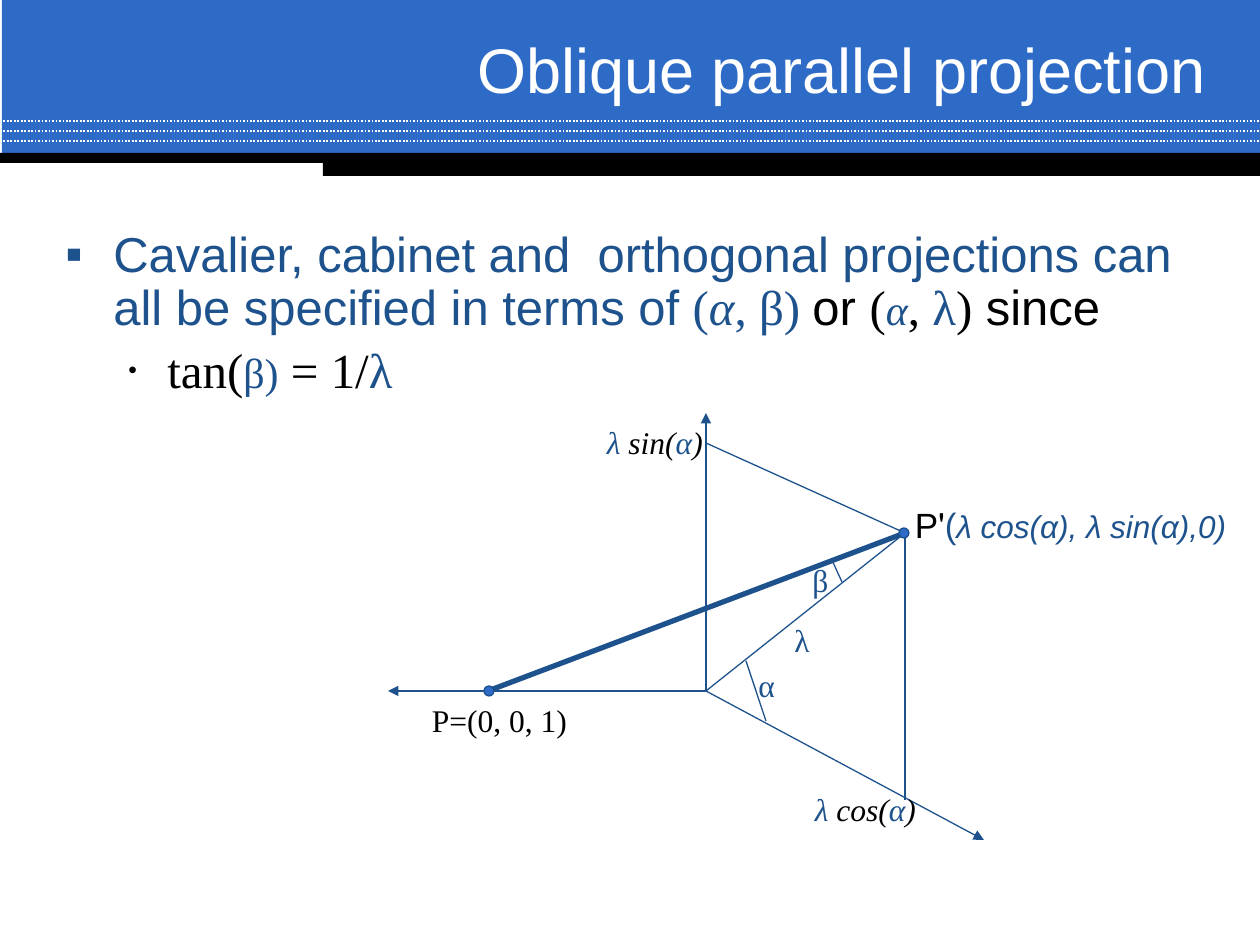
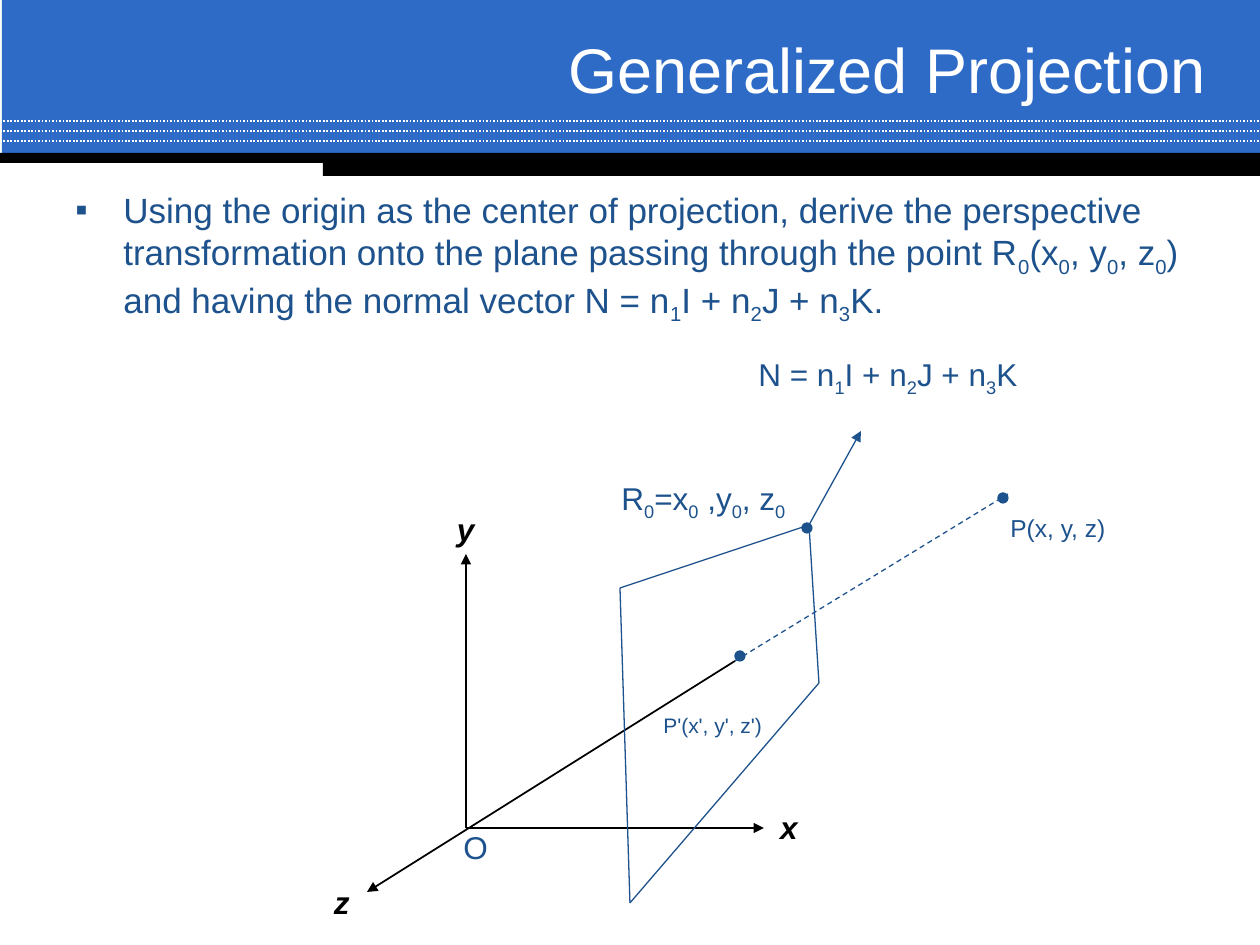
from itertools import pairwise
from lxml.etree import SubElement
from pptx import Presentation
from pptx.dml.color import RGBColor
from pptx.enum.dml import MSO_LINE as Dash
from pptx.enum.shapes import MSO_CONNECTOR as Connector, MSO_SHAPE as Shape
from pptx.enum.text import MSO_ANCHOR as Anchor, PP_ALIGN as Align
from pptx.oxml.ns import qn
from pptx.util import Pt

PX = 7257
BLUE, NAVY, BLACK, WHITE = "2D6BC7", "1D528D", "000000", "FFFFFF"
SANS, SERIF = "Arial", "Times New Roman"
color = RGBColor.from_string


def draw_line(page, start, end, ink=NAVY, width=0.75, dash=None, arrow=False):
    line = page.shapes.add_connector(
        Connector.STRAIGHT, *(value * PX for value in (*start, *end)))
    line.line.color.rgb = color(ink)
    line.line.width = Pt(width)
    if dash:
        line.line.dash_style = dash
    if arrow:
        SubElement(line.line._get_or_add_ln(), qn("a:tailEnd"), type="triangle")
    SubElement(line._element.spPr, qn("a:effectLst"))


def write_text(page, place, paragraphs, size=18, ink=NAVY, font=SANS,
               bold=False, italic=False, inset=True):
    box = page.shapes.add_textbox(*(value * PX for value in place))
    frame = box.text_frame
    frame.word_wrap = inset
    if not inset:
        frame.margin_left = frame.margin_right = 0
        frame.margin_top = frame.margin_bottom = 0
    for index, spans in enumerate(paragraphs):
        para = frame.paragraphs[0] if index == 0 else frame.add_paragraph()
        para.font.size, para.font.name = Pt(size), font
        para.font.bold, para.font.italic = bold, italic
        para.font.color.rgb = color(ink)
        for text, style in spans:
            for number, piece in enumerate(text.split("_")):
                if not piece:
                    continue
                span = para.add_run()
                span.text = piece
                if "ink" in style:
                    span.font.color.rgb = color(style["ink"])
                if "size" in style:
                    span.font.size = Pt(style["size"])
                if "font" in style:
                    span.font.name = style["font"]
                if "italic" in style:
                    span.font.italic = style["italic"]
                if number % 2:
                    span.font._element.set("baseline", "-25000")
    return frame


deck = Presentation()
deck.slide_width, deck.slide_height = 1260 * PX, 945 * PX

pages = []
for title in ("Oblique parallel projection", "Generalized Projection"):
    page = deck.slides.add_slide(deck.slide_layouts[6])
    pages.append(page)
    for place, fill in (((2, 0, 1258, 155), BLUE),
                        ((0, 153, 1260, 10), BLACK),
                        ((323, 156, 937, 20), BLACK)):
        band = page.shapes.add_shape(Shape.RECTANGLE, *(value * PX for value in place))
        band.shadow.inherit = False
        band.fill.solid()
        band.fill.fore_color.rgb = color(fill)
        band.line.fill.background()
    for y in (121, 131, 141):
        draw_line(page, (0, y), (1260, y), WHITE, 1, Dash.ROUND_DOT)
    heading = write_text(page, (346, 32, 872, 73), [[(title, {})]], 36, WHITE)
    heading.vertical_anchor = Anchor.MIDDLE
    heading.paragraphs[0].alignment = Align.RIGHT

oblique, general = pages
serif, sans_black = {"font": SERIF}, {"ink": BLACK}
serif_black = {"font": SERIF, "ink": BLACK}
small_serif = {"font": SERIF, "size": 24}

oblique_body = write_text(oblique, (53, 224, 1134, 242), [
    [("Cavalier, cabinet and  orthogonal projections can all be specified in terms of ", {}),
     ("(", serif), ("α", {**serif, "italic": True}), (", β) ", serif),
     ("or ", sans_black), ("(", serif_black),
     ("α", {**small_serif, "italic": True}), (", ", serif_black),
     ("λ", serif), (")", serif_black), (" since", sans_black)],
    [("tan(", serif_black), ("β)", small_serif), (" = 1/", serif_black), ("λ", serif)],
], 28)
for para in oblique_body.paragraphs:
    para.line_spacing = 0.9
oblique_body.paragraphs[1].level = 1
oblique_body.paragraphs[1].space_before = Pt(6)

general_body = write_text(general, (63, 182, 1134, 220), [[
    ("Using the origin as the center of projection, derive the perspective "
     "transformation onto the plane passing through the point "
     "R_0_(x_0_, y_0_, z_0_) and having the normal vector "
     "N = n_1_I + n_2_J + n_3_K.", {})]], 20)

for para, bullet, margin, hanging, percent in (
        (oblique_body.paragraphs[0], "▪", 48, 48, 100),
        (oblique_body.paragraphs[1], "•", 102, 39, 50),
        (general_body.paragraphs[0], "▪", 48, 48, 100)):
    properties = para._p.get_or_add_pPr()
    properties.set("marL", str(margin * PX))
    properties.set("indent", str(-hanging * PX))
    defaults = properties.find(qn("a:defRPr"))
    marks = (SubElement(properties, qn("a:buSzPct"), val=str(percent * 1000)),
             SubElement(properties, qn("a:buFont"), typeface=SANS),
             SubElement(properties, qn("a:buChar"), char=bullet))
    for mark in marks:
        defaults.addprevious(mark)

origin, point, image = (706, 691), (488, 691), (905, 533)
for axis_end in ((388, 691), (984, 840), (706, 413)):
    draw_line(oblique, origin, axis_end, arrow=True)
for start in ((905, 800), (706, 443), origin):
    draw_line(oblique, start, image)
draw_line(oblique, point, image, width=3)
draw_line(oblique, (832, 560), (842, 582))
draw_line(oblique, (746, 661), (766, 721))

for symbol, x, y in (("α", 746, 660), ("β", 800, 555), ("λ", 782, 615)):
    write_text(oblique, (x, y, 42, 50), [[(symbol, {})]], font=SERIF)
write_text(oblique, (432, 701, 135, 38), [[("P=(0, 0, 1)", {})]],
           ink=BLACK, font=SERIF, inset=False)
write_text(oblique, (915, 503, 314, 42), [[
    ("P׳", sans_black), ("(", {}),
    ("λ cos(α), λ sin(α),0)", {"size": 18, "italic": True})]], 20, inset=False)
for function, x, y, width in (("cos", 815, 790, 101), ("sin", 607, 423, 96)):
    write_text(oblique, (x, y, width, 38), [[
        ("λ", {}), (f" {function}(", sans_black), ("α", {}), (")", sans_black)]],
        font=SERIF, italic=True, inset=False)

center, projected, corner = (466, 828), (735, 661), (809, 525)
draw_line(general, center, (466, 554), BLACK, 1, arrow=True)
draw_line(general, center, (764, 828), BLACK, 1, arrow=True)
draw_line(general, projected, (367, 892), BLACK, 1, arrow=True)
for axis, x, y in (("x", 780, 808), ("y", 457, 510), ("z", 334, 883)):
    write_text(general, (x, y, 18, 38), [[(axis, {})]],
               ink=BLACK, bold=True, italic=True, inset=False)

plane = (corner, (819, 683), (630, 903), (620, 588), corner)
for start, end in pairwise(plane):
    draw_line(general, start, end)
draw_line(general, projected, (1008, 494), dash=Dash.DASH)
draw_line(general, corner, (861, 431), arrow=True)

for text, size, place in (
        ("P(x, y, z)", 14, (998, 507, 158, 42)),
        ("P'(x', y', z')", 12, (651, 706, 189, 38)),
        ("N = n_1_I + n_2_J + n_3_K", 18, (746, 349, 325, 50)),
        ("R_0_=x_0_ ,y_0_, z_0_", 18, (609, 473, 199, 50)),
        ("O", 18, (451, 822, 53, 50))):
    write_text(general, place, [[(text, {})]], size)

for page, x, y, size, fill in (
        (oblique, 904, 533, 10, BLUE), (oblique, 489, 691, 10, BLUE),
        (general, 1003, 498, 10, NAVY), (general, 740, 656, 10, NAVY),
        (general, 807, 528, 10, NAVY)):
    dot = page.shapes.add_shape(
        Shape.OVAL, (x - size // 2) * PX, (y - size // 2) * PX, size * PX, size * PX)
    dot.shadow.inherit = False
    dot.fill.solid()
    dot.fill.fore_color.rgb = color(fill)
    dot.line.color.rgb = color(NAVY)
    dot.line.width = Pt(0.75)

deck.save("out.pptx")
